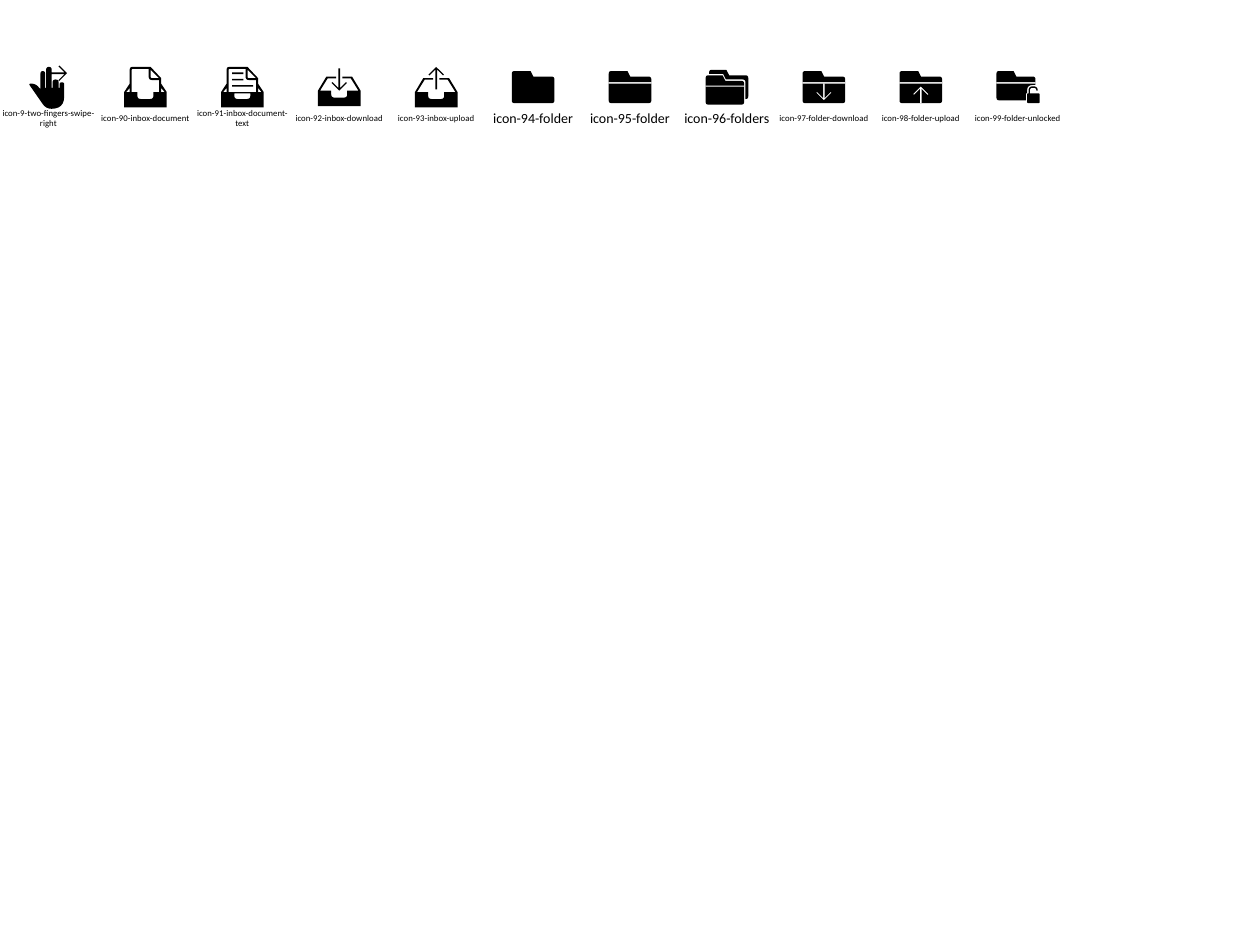
"""Builds a sheet of labelled icons from a few outline rules, in hundredths of an inch."""
from dataclasses import dataclass
from math import dist

from pptx import Presentation
from pptx.dml.color import RGBColor
from pptx.enum import text as txt
from pptx.util import Inches, Pt

COLORS = {"ink": "000000"}
FONT = "Calibri"
SMALL, LARGE = 4.5, 7.2
WIDE, HIGH = 9.03, 6.81
PITCH = WIDE / 13
INSET = 0.195
STEPS = 6
SPAN = 30.5
MID = SPAN / 2
STROKE = 1.2
FOLD_TOP, FOLD_END, SEAM = 51, 74, 59


@dataclass
class Spot:
    """A corner of an outline and the radius that rounds it."""
    x: float
    y: float
    r: float = 0


Loop = list[Spot]


@dataclass
class Icon:
    """A label and the loops drawn above it; a loop inside another is a hole."""
    label: str
    loops: list[Loop]
    size: float = SMALL


def flip(half: Loop) -> Loop:
    """Mirror a run of corners about the middle of the icon."""
    return [Spot(SPAN - s.x, s.y, s.r) for s in reversed(half)]


def box(left: float, top: float, right: float, bottom: float, r: float = 0) -> Loop:
    """Outline a rectangle."""
    return [Spot(left, top, r), Spot(right, top, r),
            Spot(right, bottom, r), Spot(left, bottom, r)]


def arrow(axis: float, tail: float, tip: float, flat: bool = False) -> Loop:
    """Outline an arrow along an axis: upright, or level if flat."""
    arm, half = 5.5, STROKE / 2
    back = 1 if tail > tip else -1
    side = [(0, tip), (arm, tip + back * arm),
            (arm - half, tip + back * (arm + half)),
            (half, tip + back * 3 * half), (half, tail)]
    ends = [(axis + a, b) for a, b in side] + [(axis - a, b) for a, b in side[:0:-1]]
    return [Spot(b, a) if flat else Spot(a, b) for a, b in ends]


def roof(left: float, top: float, right: float) -> Loop:
    """Give the upper edge of a folder, with its tab."""
    tab = left + 0.44 * (right - left)
    return [Spot(left, top, 2), Spot(tab, top),
            Spot(tab + 2, top + 4), Spot(right, top + 4, 2)]


def folder(left: float, top: float, right: float, bottom: float) -> Loop:
    """Outline a closed folder."""
    return roof(left, top, right) + [Spot(right, bottom, 2), Spot(left, bottom, 2)]


def split() -> list[Loop]:
    """Give a folder with a seam below its lid."""
    return [folder(0, FOLD_TOP, SPAN, FOLD_END), box(0, SEAM, SPAN, SEAM + 1)]


def stack() -> list[Loop]:
    """Give a front folder and the rim of one behind it."""
    width, top, shift, gap = 27.5, 54, 3, 1
    left = SPAN - width - 0.5
    inner = roof(0, top - gap, width + gap)[1:]
    rim = (roof(left, top - 4, SPAN) + [Spot(SPAN, 71, 2), Spot(width + gap, 71)]
           + inner[::-1] + [Spot(left, top - gap)])
    return [folder(0, top, width, top + 21), box(0, 61.4, width, 62.2), rim]


def locked() -> list[Loop]:
    """Give a folder cut away around an open padlock."""
    edge, left, right, top = 28, 22, 31, 67
    body = roof(0, FOLD_TOP, edge) + [
        Spot(edge, 61), Spot(left, 61, 4), Spot(left, top), Spot(left - 1, top),
        Spot(left - 1, 72), Spot(0, 72, 2)]
    near, far, crown = left + 1, right - 1.4, 62
    hoop = [Spot(near, top), Spot(near, crown, 3), Spot(far, crown, 3), Spot(far, 65),
            Spot(far - 1, 65), Spot(far - 1, crown + 1, 2),
            Spot(near + 1, crown + 1, 2), Spot(near + 1, top)]
    return [body, box(0, SEAM, edge, SEAM + 1), box(left, top, right, 74, 1), hoop]


def slot(top: float, bottom: float) -> Loop:
    """Give the dip in the front of an inbox, from left to right."""
    half = [Spot(9.5, top), Spot(9.5, bottom, 2.5)]
    return half + flip(half)


def tray(base: float) -> Loop:
    """Outline an open inbox standing on its base line."""
    rim, back = base - 11, base - 21
    half = [Spot(0, base), Spot(0, rim), Spot(6, back), Spot(13, back),
            Spot(13, back + STROKE), Spot(7, back + STROKE), Spot(1.5, rim)]
    return half + slot(rim, base - 6) + flip(half)


def inbox(lines: bool) -> list[Loop]:
    """Give an inbox holding a sheet, blank or with lines of text."""
    base, rim, top, left = 77, 66, 48, 4
    right, crease, fold = SPAN - left, 19, 56
    side = [Spot(0, base), Spot(0, rim), Spot(left, 60)]
    shell = side + [Spot(left, top, 2), Spot(crease, top), Spot(right, fold)] + flip(side)
    gap = [Spot(left, rim), Spot(left, 63), Spot(1.5, rim)]
    ear = [Spot(crease, top + 2), Spot(crease, fold, 1), Spot(25, fold)]
    edge = 1.4
    page = [Spot(left + edge, rim), Spot(left + edge, top + edge, 1),
            Spot(crease - edge, top + edge), Spot(crease - edge, fold + edge, 2.5),
            Spot(right - edge, fold + edge), Spot(right - edge, rim)]
    loops = [shell, gap, flip(gap), ear]
    if not lines:
        return loops + [page + slot(rim, 71)[::-1]]
    rows = [box(8, y, end, y + STROKE) for y, end in ((52, 16), (56.5, 16), (61, 23))]
    return loops + [page, slot(rim + 1, 71)] + rows


def hand() -> list[Loop]:
    """Give a hand with two raised fingers and an arrow to the right."""
    knuckle, palm = 63, []
    fingers = [(9.5, 12.8, 51), (13.6, 17.5, 48), (18.2, 22.5, 57), (23.2, 26.5, 59)]
    for left, right, top in fingers:
        r = (right - left) / 2
        palm += [Spot(left, knuckle), Spot(left, top, r),
                 Spot(right, top, r), Spot(right, knuckle)]
    wrist = [Spot(26.5, 78, 9), Spot(13.5, 78, 4)]
    thumb = [Spot(1, 60, 1.5), Spot(6, 60, 3), Spot(9.5, 64)]
    return [palm + wrist + thumb, arrow(52.5, 17.5, 28.5, flat=True)]


def toward(start: Spot, end: Spot) -> tuple[float, float]:
    """Find where the rounding of start begins on its edge to end."""
    share = start.r / dist((start.x, start.y), (end.x, end.y))
    return start.x + share * (end.x - start.x), start.y + share * (end.y - start.y)


def trace(loop: Loop) -> list[tuple[float, float]]:
    """Turn corners into points, with a quadratic curve at each round one."""
    points = []
    for n, spot in enumerate(loop):
        if not spot.r:
            points.append((spot.x, spot.y))
            continue
        first = toward(spot, loop[n - 1])
        last = toward(spot, loop[(n + 1) % len(loop)])
        for t in (k / STEPS for k in range(STEPS + 1)):
            points.append(tuple((1 - t) ** 2 * a + 2 * t * (1 - t) * b + t * t * c
                                for a, b, c in zip(first, (spot.x, spot.y), last)))
    return points


def draw(slide, icon: Icon, left: float) -> None:
    """Draw all loops of an icon as one filled shape."""
    pen = None
    for loop in icon.loops:
        spots = [(Inches(left + x / 100), Inches(y / 100)) for x, y in trace(loop)]
        if pen is None:
            pen = slide.shapes.build_freeform(*spots[0])
        else:
            pen.move_to(*spots[0])
        pen.add_line_segments(spots[1:], close=True)
    shape = pen.convert_to_shape()
    shape.shadow.inherit = False
    shape.fill.solid()
    shape.fill.fore_color.rgb = RGBColor.from_string(COLORS["ink"])
    shape.line.fill.background()


def write(slide, words: str, *, left: float, top: float, width: float,
          height: float, size: float, color: str = "ink") -> None:
    """Add a centred text box without margins."""
    frame = slide.shapes.add_textbox(*map(Inches, (left, top, width, height))).text_frame
    frame.word_wrap = True
    frame.vertical_anchor = txt.MSO_ANCHOR.MIDDLE
    frame.margin_left = frame.margin_right = frame.margin_top = frame.margin_bottom = 0
    para = frame.paragraphs[0]
    para.alignment = txt.PP_ALIGN.CENTER
    run = para.add_run()
    run.text = words
    run.font.name, run.font.size = FONT, Pt(size)
    run.font.color.rgb = RGBColor.from_string(COLORS[color])


ICONS = [
    Icon("icon-9-two-fingers-swipe-right", hand()),
    Icon("icon-90-inbox-document", inbox(lines=False)),
    Icon("icon-91-inbox-document-text", inbox(lines=True)),
    Icon("icon-92-inbox-download", [tray(76), arrow(MID, 49, 65)]),
    Icon("icon-93-inbox-upload", [tray(77), arrow(MID, 64, 48)]),
    Icon("icon-94-folder", [folder(0, FOLD_TOP, SPAN, FOLD_END)], LARGE),
    Icon("icon-95-folder", split(), LARGE),
    Icon("icon-96-folders", stack(), LARGE),
    Icon("icon-97-folder-download", split() + [arrow(MID, SEAM + 1, 72)]),
    Icon("icon-98-folder-upload", split() + [arrow(MID, FOLD_END, 62)]),
    Icon("icon-99-folder-unlocked", locked()),
]


def main() -> None:
    """Build and save the slide."""
    deck = Presentation()
    deck.slide_width, deck.slide_height = Inches(WIDE), Inches(HIGH)
    slide = deck.slides.add_slide(deck.slide_layouts[6])
    for n, icon in enumerate(ICONS):
        left = n * PITCH
        draw(slide, icon, left + INSET)
        write(slide, icon.label, left=left, top=0.78, width=PITCH, height=0.13,
              size=icon.size)
    deck.save("out.pptx")


if __name__ == "__main__":
    main()
